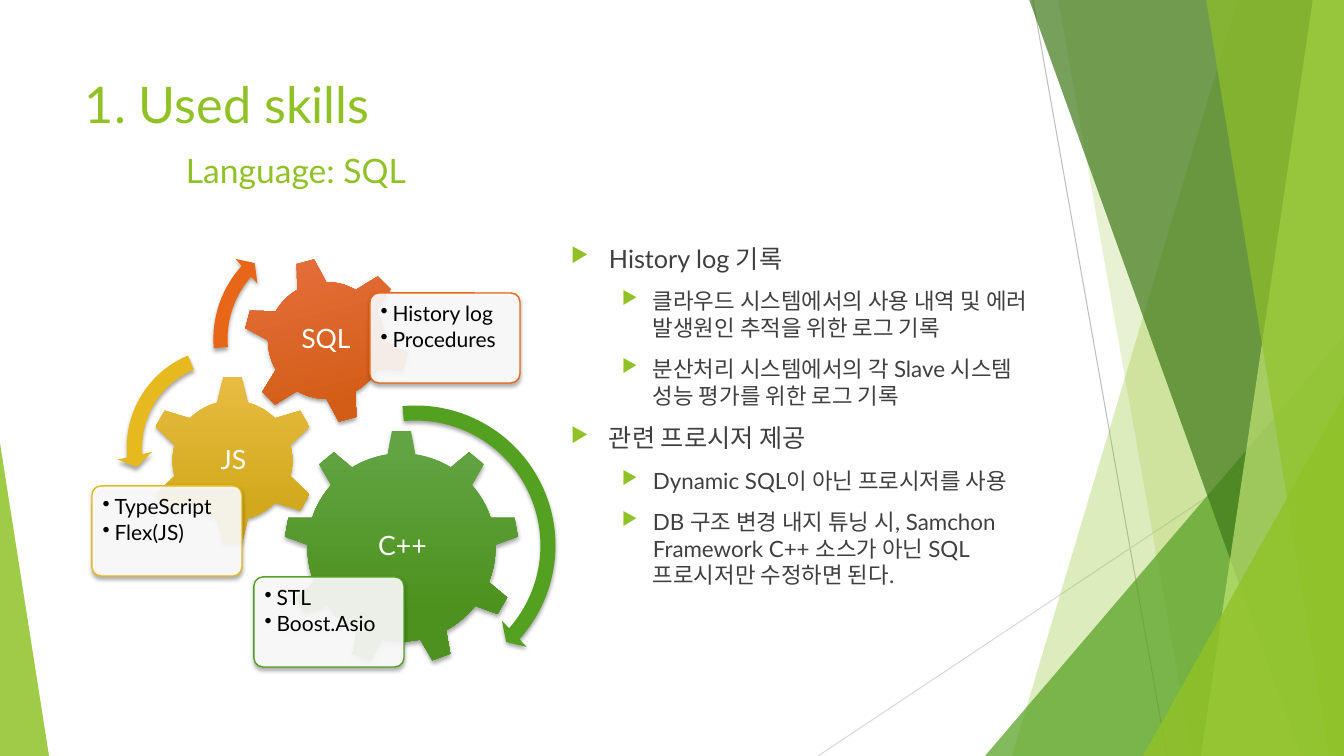
from lxml.etree import SubElement
from pptx import Presentation
from pptx.dml.color import RGBColor
from pptx.enum.shapes import MSO_CONNECTOR, MSO_SHAPE
from pptx.enum.text import MSO_ANCHOR, PP_ALIGN
from pptx.oxml.ns import qn
from pptx.util import Emu, Pt

WIDTH, HEIGHT = 1344, 756
SCALE = 12192000 / WIDTH
FONT = "Lato"

WHITE = RGBColor(0xFF, 0xFF, 0xFF)
BLACK = RGBColor(0x00, 0x00, 0x00)
CHARCOAL = RGBColor(0x40, 0x40, 0x40)
SILVER = RGBColor(0xBF, 0xBF, 0xBF)
PALE_GRAY = RGBColor(0xD9, 0xD9, 0xD9)
LIME = RGBColor(0x90, 0xC2, 0x26)
LIGHT_LIME = RGBColor(0xC0, 0xE4, 0x74)
GREEN = RGBColor(0x54, 0xA0, 0x21)
DARK_GREEN = RGBColor(0x3F, 0x78, 0x19)
GOLD = RGBColor(0xE6, 0xB9, 0x1E)
ORANGE = RGBColor(0xE7, 0x66, 0x18)
GREEN_GRADIENT = RGBColor(0x63, 0xA5, 0x45), RGBColor(0x4D, 0x92, 0x1E)
GOLD_GRADIENT = RGBColor(0xE7, 0xBC, 0x43), RGBColor(0xD2, 0xA9, 0x1B)
ORANGE_GRADIENT = RGBColor(0xE8, 0x72, 0x42), RGBColor(0xD3, 0x5D, 0x16)

SKILLS = [
    ("C++", MSO_SHAPE.GEAR_9, (284, 430, 235, 235), 0, GREEN_GRADIENT,
     (332, 486, 141, 121), (254, 577), GREEN, ["STL", "Boost.Asio"]),
    ("JS", MSO_SHAPE.GEAR_6, (147, 375, 171, 171), 0, GOLD_GRADIENT,
     (191, 418, 85, 85), (92, 486), GOLD, ["TypeScript", "Flex(JS)"]),
    ("SQL", MSO_SHAPE.GEAR_6, (243, 257, 167, 167), 345, ORANGE_GRADIENT,
     (279, 293, 94, 94), (370, 293), ORANGE, ["History log", "Procedures"]),
]
ARROWS = [
    (MSO_SHAPE.CIRCULAR_ARROW, (265, 395, 301, 301), GREEN,
     (0.05, 2.99, 25.08, 158.78, 0.06)),
    (MSO_SHAPE.LEFT_CIRCULAR_ARROW, (117, 338, 219, 219), GOLD,
     (0.07, 4.3, 104.89, 148.38, 0.08)),
    (MSO_SHAPE.CIRCULAR_ARROW, (204, 221, 236, 236), ORANGE,
     (0.06, 3.94, 133.14, 105.08, 0.07)),
]
NOTES = [
    (0, "History log 기록"),
    (1, "클라우드 시스템에서의 사용 내역 및 에러 발생원인 추적을 위한 로그 기록"),
    (1, "분산처리 시스템에서의 각 Slave 시스템 성능 평가를 위한 로그 기록"),
    (0, "관련 프로시저 제공"),
    (1, "Dynamic SQL이 아닌 프로시저를 사용"),
    (1, "DB 구조 변경 내지 튜닝 시, Samchon Framework C++ 소스가 아닌 SQL 프로시저만 수정하면 된다."),
]


def px(length):
    return Emu(round(length * SCALE))


def add_child(parent, tag, **attributes):
    return SubElement(parent, qn(tag), {key: str(value) for key, value in attributes.items()})


def paint(shape, color, opacity=100):
    shape.shadow.inherit = False
    shape.fill.solid()
    shape.fill.fore_color.rgb = color
    shape.line.fill.background()
    if opacity < 100:
        add_child(shape.fill._xPr.find(".//" + qn("a:srgbClr")), "a:alpha", val=opacity * 1000)


def add_shadow(shape):
    effects = shape._element.spPr.find(qn("a:effectLst"))
    outer = add_child(effects, "a:outerShdw", blurRad=Pt(3), dist=Pt(2), dir=5400000,
                      algn="ctr", rotWithShape=0)
    add_child(add_child(outer, "a:srgbClr", val="000000"), "a:alpha", val=35000)


def add_preset(page, kind, box, color, opacity=100, adjustments=()):
    shape = page.shapes.add_shape(kind, *map(px, box))
    paint(shape, color, opacity)
    for index, value in enumerate(adjustments):
        shape.adjustments[index] = value
    return shape


def add_line(page, start, end, color):
    line = page.shapes.add_connector(MSO_CONNECTOR.STRAIGHT, *map(px, start + end))
    line.line.color.rgb = color
    line.line.width = Pt(0.75)
    add_child(line._element.spPr, "a:effectLst")


def add_slab(page, top, bottom, color, opacity):
    builder = page.shapes.build_freeform(top, -1, scale=SCALE)
    builder.add_line_segments([(WIDTH, -1), (WIDTH, HEIGHT), (bottom, HEIGHT)])
    paint(builder.convert_to_shape(), color, opacity)


def set_frame(frame, margins, anchor=MSO_ANCHOR.TOP):
    frame.word_wrap = True
    frame.vertical_anchor = anchor
    frame.margin_left = frame.margin_right = px(margins[0])
    frame.margin_top = frame.margin_bottom = px(margins[1])


def add_text_box(page, box, margins, anchor=MSO_ANCHOR.TOP):
    frame = page.shapes.add_textbox(*map(px, box)).text_frame
    set_frame(frame, margins, anchor)
    return frame


def write_span(para, text, size, color):
    span = para.add_run()
    span.text = text
    span.font.name = FONT
    span.font.size = Pt(size)
    span.font.color.rgb = color


def write_para(frame, text, size, color, align=PP_ALIGN.LEFT, level=0, before=0, after=0,
               spacing=1.0, bullet=None, bullet_color=None, indent=0, hanging=0):
    first = not frame.paragraphs[0].runs
    para = frame.paragraphs[0] if first else frame.add_paragraph()
    properties = para._p.get_or_add_pPr()
    if bullet:
        properties.set("marL", str(px(indent)))
        properties.set("indent", str(-px(hanging)))
        if bullet_color:
            add_child(add_child(properties, "a:buClr"), "a:srgbClr", val=bullet_color)
            add_child(properties, "a:buSzPct", val=80000)
        add_child(properties, "a:buChar", char=bullet)
    para.alignment = align
    para.level = level
    para.line_spacing = spacing
    para.space_before = Pt(0 if first else before)
    para.space_after = Pt(after)
    write_span(para, text, size, color)
    return para


def add_backdrop(page):
    add_line(page, (1033, 0), (1167, HEIGHT), SILVER)
    add_line(page, (WIDTH, 406), (818, HEIGHT), PALE_GRAY)
    triangle = MSO_SHAPE.ISOSCELES_TRIANGLE
    add_slab(page, 1238, 1012, LIME, 30)
    add_slab(page, 1058, 1192, LIME, 20)
    add_preset(page, triangle, (985, 336, 359, 420), GREEN, 72, [1])
    add_slab(page, 1029, 1301, DARK_GREEN, 70)
    add_slab(page, 1313, 1201, LIGHT_LIME, 70)
    add_slab(page, 1206, 1329, LIME, 65)
    add_preset(page, triangle, (1143, 396, 201, 360), LIME, 80, [1])
    add_preset(page, triangle, (0, 443, 49, 313), LIME, 85, [0])


def add_title(page):
    frame = add_text_box(page, (75, 68, 948, 145), (10, 5))
    para = write_para(frame, "1. Used skills", 36, LIME)
    tabs = add_child(para._p.get_or_add_pPr(), "a:tabLst")
    for stop in (50, 101):
        add_child(tabs, "a:tab", pos=px(stop), algn="l")
    para.add_line_break()
    write_span(para, "\t\t", 36, LIME)
    write_span(para, "Language: SQL", 24, LIME)


def add_gear(page, kind, box, rotation, gradient):
    gear = add_preset(page, kind, box, gradient[0])
    gear.rotation = rotation
    gear.fill.gradient()
    gear.fill.gradient_angle = 270
    for stop, color, position in zip(gear.fill.gradient_stops, gradient, (0, 0.78)):
        stop.color.rgb = color
        stop.position = position
    add_shadow(gear)


def add_card(page, corner, color, items):
    card = add_preset(page, MSO_SHAPE.ROUNDED_RECTANGLE, corner + (150, 90), WHITE, 90, [0.1])
    card.line.color.rgb = color
    card.line.width = Pt(1)
    add_shadow(card)
    set_frame(card.text_frame, (8, 8))
    for item in items:
        write_para(card.text_frame, item, 15, BLACK, level=1, after=2, spacing=0.9,
                   bullet="•", indent=12, hanging=12)


def add_notes(page):
    frame = add_text_box(page, (561, 238, 502, 427), (10, 5))
    for level, text in NOTES:
        write_para(frame, text, 16 if level else 18, CHARCOAL, level=level, before=10,
                   bullet="▶", bullet_color=LIME, indent=82 if level else 38,
                   hanging=31 if level else 38)


def main():
    deck = Presentation()
    deck.slide_width, deck.slide_height = px(WIDTH), px(HEIGHT)
    page = deck.slides.add_slide(deck.slide_layouts[6])
    add_backdrop(page)
    add_title(page)
    for name, kind, box, rotation, gradient, label_box, corner, color, items in SKILLS:
        add_gear(page, kind, box, rotation, gradient)
        label = add_text_box(page, label_box, (3, 3), MSO_ANCHOR.MIDDLE)
        write_para(label, name, 19, WHITE, align=PP_ALIGN.CENTER, after=6, spacing=0.9)
        add_card(page, corner, color, items)
    for kind, box, color, adjustments in ARROWS:
        add_shadow(add_preset(page, kind, box, color, adjustments=adjustments))
    add_notes(page)
    deck.save("out.pptx")


if __name__ == "__main__":
    main()
